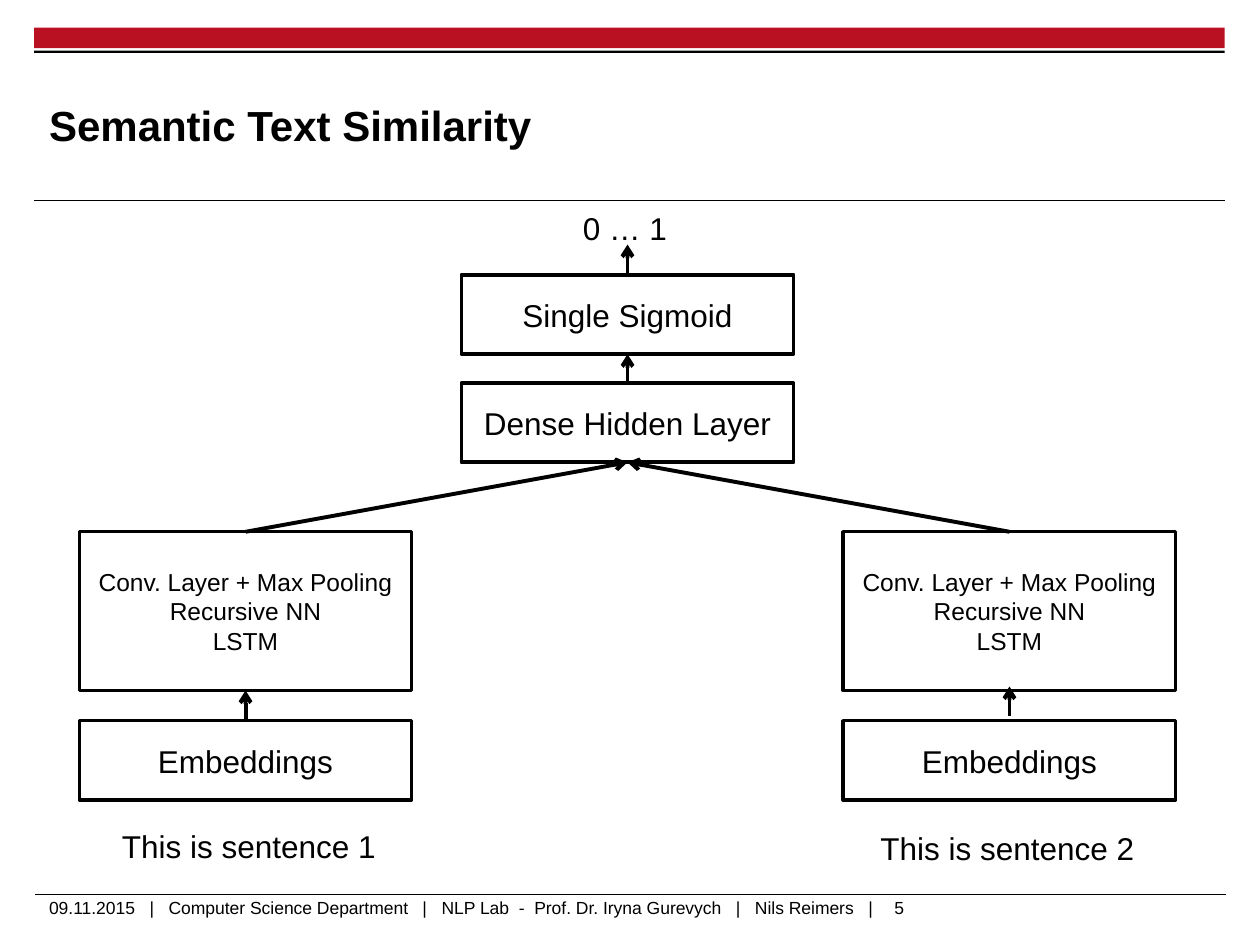
from lxml.etree import SubElement
from pptx import Presentation
from pptx.dml.color import RGBColor
from pptx.enum.shapes import MSO_CONNECTOR, MSO_SHAPE
from pptx.enum.text import MSO_ANCHOR, MSO_AUTO_SIZE, PP_ALIGN
from pptx.oxml.ns import qn
from pptx.util import Cm, Pt

BLACK = RGBColor(0x00, 0x00, 0x00)
RED = RGBColor(0xB9, 0x10, 0x22)
TOP, BOTTOM = 0, 2  # connection sites of a rectangle


def add_span(para, text, size=18, bold=False, spacing=0):
    """Add a run; spacing is extra room after each letter, in points."""
    span = para.add_run()
    span.text = text
    span.font.name = "Arial"
    span.font.size = Pt(size)
    span.font.bold = bold
    span.font.color.rgb = BLACK
    if spacing:
        span.font._element.set("spc", str(round(spacing * 100)))


def write(frame, text, align=PP_ALIGN.LEFT, **style):
    """Write each line of the text as a paragraph."""
    for number, line in enumerate(text.split("\n")):
        para = frame.add_paragraph() if number else frame.paragraphs[0]
        para.alignment = align
        add_span(para, line, **style)


class Diagram:
    box_width = 6.7
    box_height = 1.6
    column_left = [1.6 + 7.7 * column for column in range(3)]
    column_middle = [left + 3.35 for left in column_left]

    def __init__(self, slide):
        self.shapes = slide.shapes

    def bar(self, top, height, color):
        bar = self.shapes.add_shape(
            MSO_SHAPE.RECTANGLE, Cm(0.69), Cm(top), Cm(24), Cm(height))
        bar.shadow.inherit = False
        bar.fill.solid()
        bar.fill.fore_color.rgb = color
        bar.line.fill.background()

    def line(self, start, end, width=2.25, arrow=True):
        line = self.shapes.add_connector(
            MSO_CONNECTOR.STRAIGHT, *(Cm(value) for value in (*start, *end)))
        line.line.color.rgb = BLACK
        line.line.width = Pt(width)
        if arrow:
            SubElement(line.line._get_or_add_ln(), qn("a:tailEnd"), type="arrow")
        SubElement(line._element.spPr, qn("a:effectLst"))
        return line

    def join(self, lower, upper):
        arrow = self.line((0, 0), (0, 0))
        arrow.begin_connect(lower, TOP)
        arrow.end_connect(upper, BOTTOM)

    def box(self, column, top, text, rows=1, size=18):
        box = self.shapes.add_shape(
            MSO_SHAPE.RECTANGLE, Cm(self.column_left[column]), Cm(top),
            Cm(self.box_width), Cm(self.box_height * rows))
        box.shadow.inherit = False
        box.fill.background()
        box.line.color.rgb = BLACK
        box.line.width = Pt(2)
        box.text_frame.vertical_anchor = MSO_ANCHOR.MIDDLE
        write(box.text_frame, text, align=PP_ALIGN.CENTER, size=size)
        return box

    def frame(self, left, top, width, height, wrap=True, inset=True):
        frame = self.shapes.add_textbox(
            Cm(left), Cm(top), Cm(width), Cm(height)).text_frame
        frame.word_wrap = wrap
        if inset:
            frame.auto_size = MSO_AUTO_SIZE.SHAPE_TO_FIT_TEXT
        else:
            frame.margin_left = frame.margin_right = 0
            frame.margin_top = frame.margin_bottom = 0
        return frame


def main():
    deck = Presentation()
    deck.slide_width, deck.slide_height = Cm(25.4), Cm(19.05)
    page = Diagram(deck.slides.add_slide(deck.slide_layouts[6]))

    # Header and rules
    page.bar(0.56, 0.41, RED)
    page.bar(1.02, 0.05, BLACK)
    for left, top in ((0.69, 4.04), (0.71, 18.03)):
        page.line((left, top), (left + 24, top), width=0.6, arrow=False)
    title = page.frame(0.99, 1.35, 19.1, 2.34, inset=False)
    title.vertical_anchor = MSO_ANCHOR.MIDDLE
    write(title, "Semantic Text Similarity", size=24, bold=True)

    # Footer: separators are spaced out evenly on both sides
    footer = page.frame(0.99, 18.08, 22.1, 0.64, inset=False).paragraphs[0]
    for text, separator, spacing in (
            ("09.11.2015", " |", 5.56),
            (" Computer Science Department", " |", 5.56),
            (" NLP Lab", " -", 2.78),
            (" Prof. Dr. Iryna Gurevych", " |", 5.56),
            (" Nils Reimers", " |", 5.56)):
        add_span(footer, text, size=10)
        add_span(footer, separator, size=10, spacing=spacing)
    write(page.frame(17.78, 17.96, 1.22, 0.69, wrap=False), "5", size=10)

    # Shared layers and output
    sigmoid = page.box(1, 5.54, "Single Sigmoid")
    dense = page.box(1, 7.72, "Dense Hidden Layer")
    page.join(dense, sigmoid)
    output = page.line((page.column_middle[1], 5.54), (page.column_middle[1], 4.93))
    output.begin_connect(sigmoid, TOP)
    write(page.frame(10.9, 4.09, 3.4, 1.02), "0 … 1", align=PP_ALIGN.CENTER)

    # One encoder for each sentence
    encoder_text = "Conv. Layer + Max Pooling\nRecursive NN\nLSTM"
    for column, text, left, top in (
            (0, "This is sentence 1", 2.21, 16.54),
            (2, "This is sentence 2", 17.5, 16.59)):
        embeddings = page.box(column, 14.53, "Embeddings")
        encoder = page.box(column, 10.72, encoder_text, rows=2, size=14)
        page.join(encoder, dense)
        if column == 0:
            page.join(embeddings, encoder)
        else:
            middle = page.column_middle[column]
            page.line((middle, 14.43), (middle, 13.84))
        write(page.frame(left, top, 5.69, 1.02, wrap=False), text)

    deck.save("out.pptx")


if __name__ == "__main__":
    main()
